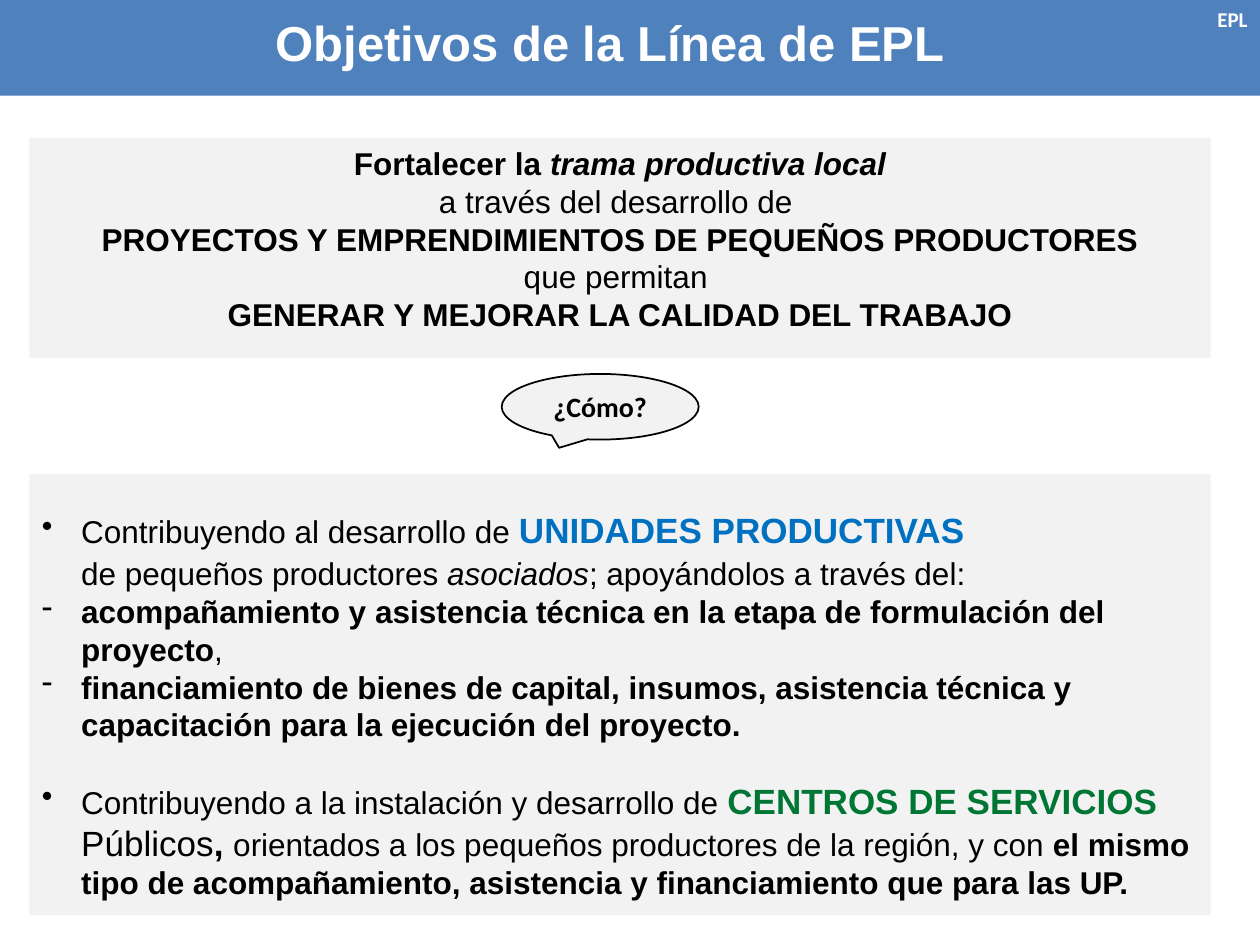
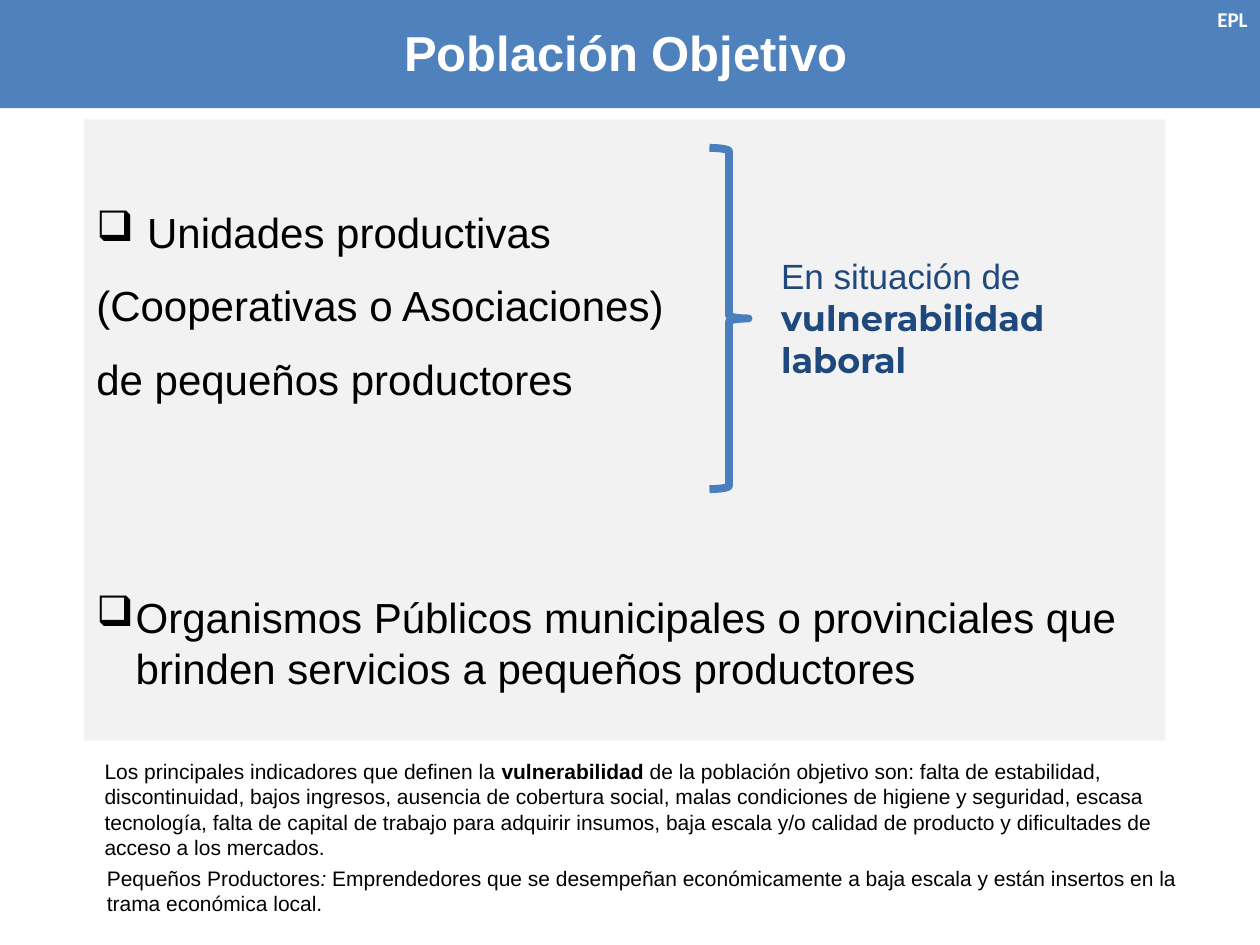
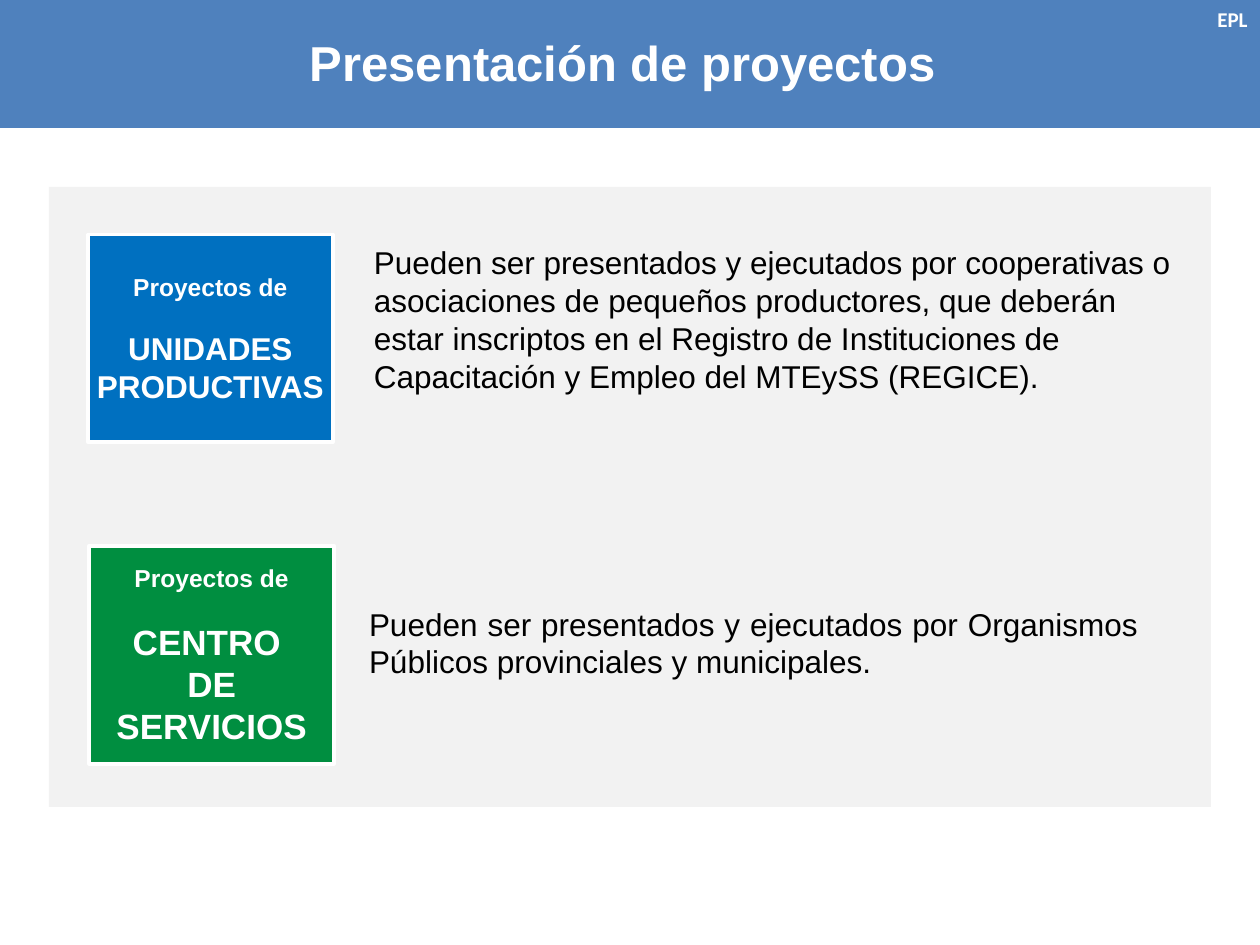
"""Build three slides on the goals, target population and projects of the EPL line."""
import dataclasses

import pptx
import pptx.dml.color
import pptx.enum.shapes
import pptx.enum.text
import pptx.util
from lxml import etree
from pptx.oxml.ns import qn

Pt = pptx.util.Pt
Align = pptx.enum.text.PP_ALIGN
Anchor = pptx.enum.text.MSO_ANCHOR
Preset = pptx.enum.shapes.MSO_SHAPE


@dataclasses.dataclass(frozen=True)
class Theme:
    band: str = "4F81BD"
    panel: str = "F2F2F2"
    ink: str = "000000"
    light: str = "FFFFFF"
    navy: str = "1F497D"
    brace: str = "4B7EBC"
    units: str = "0070C0"
    centres: str = "008E40"
    centres_text: str = "007635"
    font: str = "Arial"
    label_font: str = "Calibri"
    accent_font: str = "Montserrat"
    title: int = 28
    lead: int = 24
    strong: int = 20
    body: int = 18
    question: int = 16
    small: int = 14
    note: int = 12


THEME = Theme()


@dataclasses.dataclass
class Para:
    runs: list
    size: int = THEME.body
    color: str = THEME.ink
    bold: bool = False
    font: str = THEME.font
    align: Align = Align.LEFT
    gap: float = 0
    mark: str = ""
    margin: float = 0


BOLD = {"bold": True}
ITALIC = {"italic": True}
WIDTH, HEIGHT = 720, 540
HANG = 22.5

TAG = Para(["EPL"], THEME.note, THEME.light, True, THEME.label_font, Align.RIGHT)

GOAL = [
    Para(["Fortalecer la ", ("trama productiva local", ITALIC)], bold=True, align=Align.CENTER),
    Para(["a través del desarrollo de "], align=Align.CENTER),
    Para(["PROYECTOS Y EMPRENDIMIENTOS DE PEQUEÑOS PRODUCTORES"], bold=True, align=Align.CENTER),
    Para(["que permitan "], align=Align.CENTER),
    Para(["GENERAR Y MEJORAR LA CALIDAD DEL TRABAJO"], bold=True, align=Align.CENTER),
]
QUESTION = [Para(["¿Cómo?"], THEME.question, bold=True, font=THEME.label_font, align=Align.CENTER)]
MEANS = [
    Para(["Contribuyendo al desarrollo de ",
          ("UNIDADES PRODUCTIVAS", {"size": THEME.strong, "color": THEME.units, "bold": True})],
         mark="•", margin=HANG),
    Para(["de pequeños productores ", ("asociados", ITALIC), "; apoyándolos a través del:"],
         gap=2, margin=HANG),
    Para([("acompañamiento y asistencia técnica en la etapa de formulación del proyecto", BOLD), ","],
         mark="-", margin=HANG),
    Para(["financiamiento de bienes de capital, insumos, asistencia técnica y capacitación "
          "para la ejecución del proyecto."], bold=True, mark="-", margin=HANG),
    Para(["Contribuyendo a la instalación y desarrollo de ",
          ("CENTROS DE SERVICIOS ",
           {"size": THEME.strong, "color": THEME.centres_text, "bold": True}),
          ("Públicos", {"size": THEME.strong}),
          (", ", {"size": THEME.strong, "bold": True}),
          "orientados a los pequeños productores de la región, y con ",
          ("el mismo tipo de acompañamiento, asistencia y financiamiento que para las UP.", BOLD)],
         gap=20.7, mark="•", margin=HANG),
]

POPULATION = [
    Para(["Unidades productivas"], THEME.lead, mark="❑", margin=29),
    Para(["(Cooperativas o Asociaciones)"], THEME.lead, gap=13),
    Para(["de pequeños productores"], THEME.lead, gap=13),
    Para(["Organismos Públicos municipales o provinciales que brinden servicios "
          "a pequeños productores"], THEME.lead, gap=107.5, mark="❑", margin=HANG),
]
SITUATION = [
    Para(["En situación de ",
          ("vulnerabilidad laboral", {"font": THEME.accent_font, "bold": True})],
         THEME.strong, THEME.navy),
]
INDICATORS = [
    Para(["Los principales indicadores que definen la ", ("vulnerabilidad", BOLD),
          " de la población objetivo son: falta de estabilidad, discontinuidad, bajos ingresos, "
          "ausencia de cobertura social, malas condiciones de higiene y seguridad, escasa "
          "tecnología, falta de capital de trabajo para adquirir insumos, baja escala y/o calidad "
          "de producto y dificultades de acceso a los mercados."], THEME.note),
]
PRODUCERS = [
    Para(["Pequeños Productores", (": ", ITALIC),
          "Emprendedores que se desempeñan económicamente a baja escala y están insertos en la "
          "trama económica local."], THEME.note),
]

PROJECTS = [
    {"lines": ["UNIDADES", "PRODUCTIVAS"], "size": THEME.body, "fill": THEME.units,
     "card": (50.4, 134, 139.7, 118.8), "text_at": (206.6, 135.4, 479.5, 93.6),
     "align": Align.LEFT,
     "text": "Pueden ser presentados y ejecutados por cooperativas o asociaciones de pequeños "
             "productores, que deberán estar inscriptos en el Registro de Instituciones de "
             "Capacitación y Empleo del MTEySS (REGICE)."},
    {"lines": ["CENTRO ", "DE", "SERVICIOS"], "size": THEME.strong, "fill": THEME.centres,
     "card": (51.1, 311.8, 139.7, 124.6), "text_at": (203.8, 342, 453.6, 50.4),
     "align": Align.JUSTIFY,
     "text": "Pueden ser presentados y ejecutados por Organismos Públicos provinciales y "
             "municipales."},
]


def rgb(code):
    return pptx.dml.color.RGBColor.from_string(code)


def style(font, size=None, color=None, bold=None, italic=None, name=None):
    if size:
        font.size = Pt(size)
    if color:
        font.color.rgb = rgb(color)
    if name:
        font.name = name
    if bold is not None:
        font.bold = bold
    if italic is not None:
        font.italic = italic


def write(shape, paras, anchor=Anchor.TOP, inset_top=3.6, wrap=True):
    frame = shape.text_frame
    frame.word_wrap = wrap
    frame.vertical_anchor = anchor
    frame.margin_top = Pt(inset_top)
    for index, para in enumerate(paras):
        paragraph = frame.add_paragraph() if index else frame.paragraphs[0]
        paragraph.alignment = para.align
        if para.gap:
            paragraph.space_before = Pt(para.gap)
        properties = paragraph._p.get_or_add_pPr()
        if para.margin:
            properties.set("marL", str(Pt(para.margin)))
        if para.mark:
            properties.set("indent", str(-Pt(para.margin)))
            etree.SubElement(properties, qn("a:buChar")).set("char", para.mark)
        style(paragraph.font, para.size, para.color, para.bold, name=para.font)
        for piece in para.runs:
            words, changes = piece if isinstance(piece, tuple) else (piece, {})
            run = paragraph.add_run()
            run.text = words
            changes = dict(changes)
            style(run.font, name=changes.pop("font", None), **changes)


def add_block(slide, at, fill=None, preset=Preset.RECTANGLE, line=None, weight=1):
    shape = slide.shapes.add_shape(preset, *map(Pt, at))
    shape.shadow.inherit = False
    if fill:
        shape.fill.solid()
        shape.fill.fore_color.rgb = rgb(fill)
    else:
        shape.fill.background()
    if line:
        shape.line.color.rgb = rgb(line)
        shape.line.width = Pt(weight)
    else:
        shape.line.fill.background()
    return shape


def add_text(slide, at, paras, wrap=True):
    write(slide.shapes.add_textbox(*map(Pt, at)), paras, wrap=wrap)


def add_headed_slide(deck, title, band_height, title_left, title_top, title_width):
    slide = deck.slides.add_slide(deck.slide_layouts[6])
    add_block(slide, (0, 0, WIDTH, band_height), THEME.band)
    add_text(slide, (title_left, title_top, title_width, 41),
             [Para([title], THEME.title, THEME.light, True)])
    add_text(slide, (687.6, 0, 32.4, 21.6), [TAG], wrap=False)
    return slide


def build_goals(deck):
    slide = add_headed_slide(deck, "Objetivos de la Línea de EPL", 54.7, 150.5, 3.6, 414)
    write(add_block(slide, (16.8, 78.7, 675, 126), THEME.panel), GOAL)
    callout = add_block(slide, (286.7, 213.7, 112.6, 37.5), THEME.panel,
                        Preset.OVAL_CALLOUT, THEME.ink)
    write(callout, QUESTION, Anchor.MIDDLE)
    write(add_block(slide, (16.8, 271, 675, 252), THEME.panel), MEANS, inset_top=19.7)


def build_population(deck):
    slide = add_headed_slide(deck, "Población Objetivo", 61.9, 224, 9.4, 289.4)
    write(add_block(slide, (48, 68.2, 618, 355), THEME.panel), POPULATION, inset_top=50)
    add_block(slide, (405.4, 84.5, 22.3, 195), None, Preset.RIGHT_BRACE, THEME.brace, 4.5)
    add_text(slide, (439.2, 142, 181.4, 76.3), SITUATION)
    add_text(slide, (52.7, 430, 648, 64), INDICATORS)
    add_text(slide, (54, 491, 629.3, 36), PRODUCERS)


def build_projects(deck):
    slide = add_headed_slide(deck, "Presentación de proyectos", 73.2, 170, 15.1, 377.3)
    add_block(slide, (28, 106.8, 664, 354.3), THEME.panel)
    for project in PROJECTS:
        card = add_block(slide, project["card"], project["fill"], line=THEME.light, weight=2.25)
        names = [Para([line], project["size"], THEME.light, True, align=Align.CENTER,
                      gap=0 if index else 16.1)
                 for index, line in enumerate(project["lines"])]
        heading = Para(["Proyectos de"], THEME.small, THEME.light, True, align=Align.CENTER)
        write(card, [heading, *names], Anchor.MIDDLE, wrap=False)
        add_text(slide, project["text_at"], [Para([project["text"]], align=project["align"])])


def main():
    deck = pptx.Presentation()
    deck.slide_width, deck.slide_height = Pt(WIDTH), Pt(HEIGHT)
    build_goals(deck)
    build_population(deck)
    build_projects(deck)
    deck.save("out.pptx")


if __name__ == "__main__":
    main()
